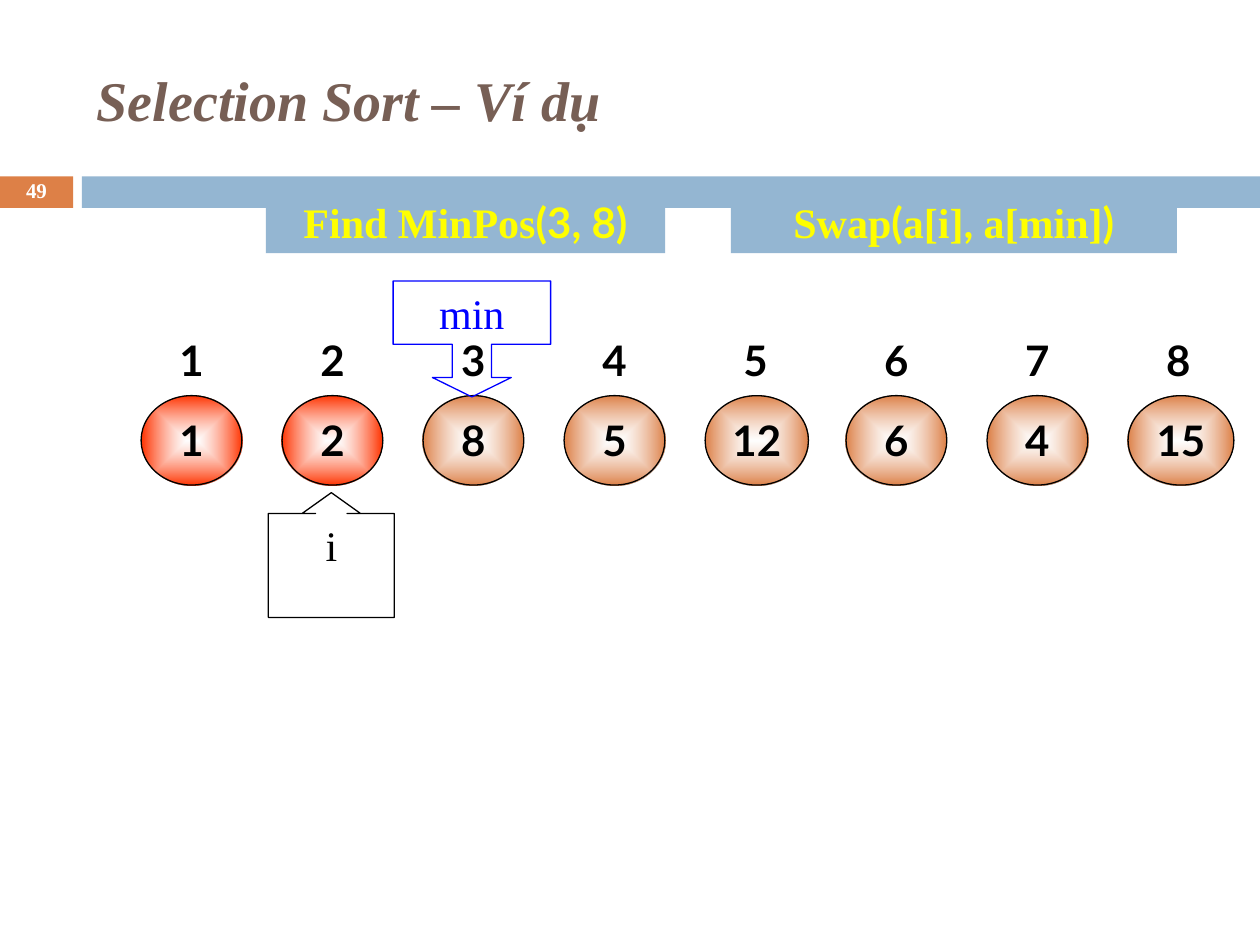
from lxml import etree
from pptx import Presentation
from pptx.dml.color import RGBColor
from pptx.enum.shapes import MSO_SHAPE as SHAPE
from pptx.enum.text import MSO_ANCHOR as ANCHOR, PP_ALIGN as ALIGN
from pptx.oxml import parse_xml
from pptx.oxml.ns import nsdecls
from pptx.util import Inches, Pt

COLORS = {
    "title": "775F55", "bar": "94B6D2", "orange": "DD8047", "sorted": "FF3300",
    "white": "FFFFFF", "black": "000000", "blue": "0000FF", "yellow": "FFFF00",
}
SERIF, SANS = "Times New Roman", "Lato"

TITLE = "Selection Sort – Ví dụ"
PAGE = "49"
VALUES = ["1", "2", "8", "5", "12", "6", "4", "15"]
SORTED_COUNT = 2
WIDTHS = {"12": 0.82, "15": 0.84}  # ovals a little wider than the rest
OVAL_W, OVAL_H, OVAL_LEFT, OVAL_STEP = 0.8, 0.71, 1.12, 1.119
VALUE_TOP, INDEX_TOP = 3.14, 2.5

# shape, box, adjustments, text, colour
CALLOUTS = [
    (SHAPE.UP_ARROW_CALLOUT, (2.13, 3.91, 1, 0.99),
     (0.252, 0.234, 0.167, 0.989), "i", "black"),
    (SHAPE.DOWN_ARROW_CALLOUT, (3.12, 2.23, 1.25, 0.92),
     (0.34, 0.34, 0.167, 0.546), "min", "blue"),
]
# box, runs of (text, font)
STEPS = [
    ((2.11, 1.51, 3.17, 0.5), [("Find MinPos", SERIF), ("(3, 8)", SANS)]),
    ((5.8, 1.51, 3.54, 0.5), [("Swap", SERIF), ("(", SANS), ("a[i]", SERIF),
                              (", ", SANS), ("a[min]", SERIF), (")", SANS)]),
]


def rgb(name):
    return RGBColor.from_string(COLORS[name])


def write(s, runs, color, size=24, bold=True, italic=False,
          align=ALIGN.CENTER, anchor=ANCHOR.TOP, wrap=False):
    tf = s.text_frame
    tf.word_wrap = wrap
    tf.vertical_anchor = anchor
    p = tf.paragraphs[0]
    p.alignment = align
    for text, font in runs:
        r = p.add_run()
        r.text = text
        r.font.name, r.font.size = font, Pt(size)
        r.font.bold, r.font.italic = bold, italic
        r.font.color.rgb = rgb(color)
    return p


def add_shape(shapes, kind, box, fill=None, line=None):
    s = shapes.add_shape(kind, *map(Inches, box))
    s.shadow.inherit = False
    if fill:
        s.fill.solid()
        s.fill.fore_color.rgb = rgb(fill)
    else:
        s.fill.background()
    if line:
        s.line.color.rgb = rgb(line)
        s.line.width = Pt(0.75)
    else:
        s.line.fill.background()
    return s


def glow(s, color):
    """Replace the solid fill by a gradient from a white centre to the edge."""
    solid = s.element.spPr.find("{*}solidFill")
    grad = parse_xml(
        f'<a:gradFill {nsdecls("a")} rotWithShape="0"><a:gsLst>'
        f'<a:gs pos="0"><a:srgbClr val="{COLORS["white"]}">'
        '<a:alpha val="60000"/></a:srgbClr></a:gs>'
        f'<a:gs pos="100000"><a:srgbClr val="{COLORS[color]}"/></a:gs>'
        '</a:gsLst><a:path path="rect">'
        '<a:fillToRect l="50000" t="50000" r="50000" b="50000"/>'
        '</a:path></a:gradFill>')
    s.element.spPr.replace(solid, grad)


def add_frame(shapes):
    add_shape(shapes, SHAPE.RECTANGLE, (0, 1.4, 0.58, 0.25), "orange")
    add_shape(shapes, SHAPE.RECTANGLE, (0.65, 1.4, 9.35, 0.25), "bar")
    title = shapes.add_textbox(*map(Inches, (0.67, 0.25, 8.92, 1.08)))
    write(title, [(TITLE, SERIF)], "title", 32, italic=True,
          align=ALIGN.LEFT, anchor=ANCHOR.MIDDLE, wrap=True)
    page = shapes.add_textbox(*map(Inches, (0, 1.39, 0.58, 0.27)))
    p = write(page, [(PAGE, SERIF)], "white", 12, anchor=ANCHOR.MIDDLE, wrap=True)
    p.line_spacing = 0.8


def add_array(shapes):
    for i, value in enumerate(VALUES):
        color = "sorted" if i < SORTED_COUNT else "orange"
        box = (OVAL_LEFT + i * OVAL_STEP, VALUE_TOP, WIDTHS.get(value, OVAL_W), OVAL_H)
        s = add_shape(shapes, SHAPE.OVAL, box, color, "black")
        glow(s, color)
        write(s, [(value, SANS)], "black")


def add_callouts(shapes):
    for kind, box, adjustments, text, color in CALLOUTS:
        s = add_shape(shapes, kind, box, line=color)
        for i, value in enumerate(adjustments):
            s.adjustments[i] = value
        write(s, [(text, SERIF)], color, bold=False)


def add_indexes(shapes):
    group = shapes.add_group_shape()
    for i in range(len(VALUES)):
        box = (OVAL_LEFT + i * OVAL_STEP, INDEX_TOP, OVAL_W, OVAL_H)
        s = add_shape(group.shapes, SHAPE.OVAL, box)
        write(s, [(str(i + 1), SANS)], "black")


def main():
    prs = Presentation()
    prs.slide_width, prs.slide_height = Inches(10), Inches(7.5)
    shapes = prs.slides.add_slide(prs.slide_layouts[6]).shapes
    add_frame(shapes)
    add_array(shapes)
    add_callouts(shapes)
    add_indexes(shapes)
    for box, runs in STEPS:
        write(add_shape(shapes, SHAPE.RECTANGLE, box, "bar"), runs, "yellow")
    prs.save("out.pptx")


if __name__ == "__main__":
    main()
